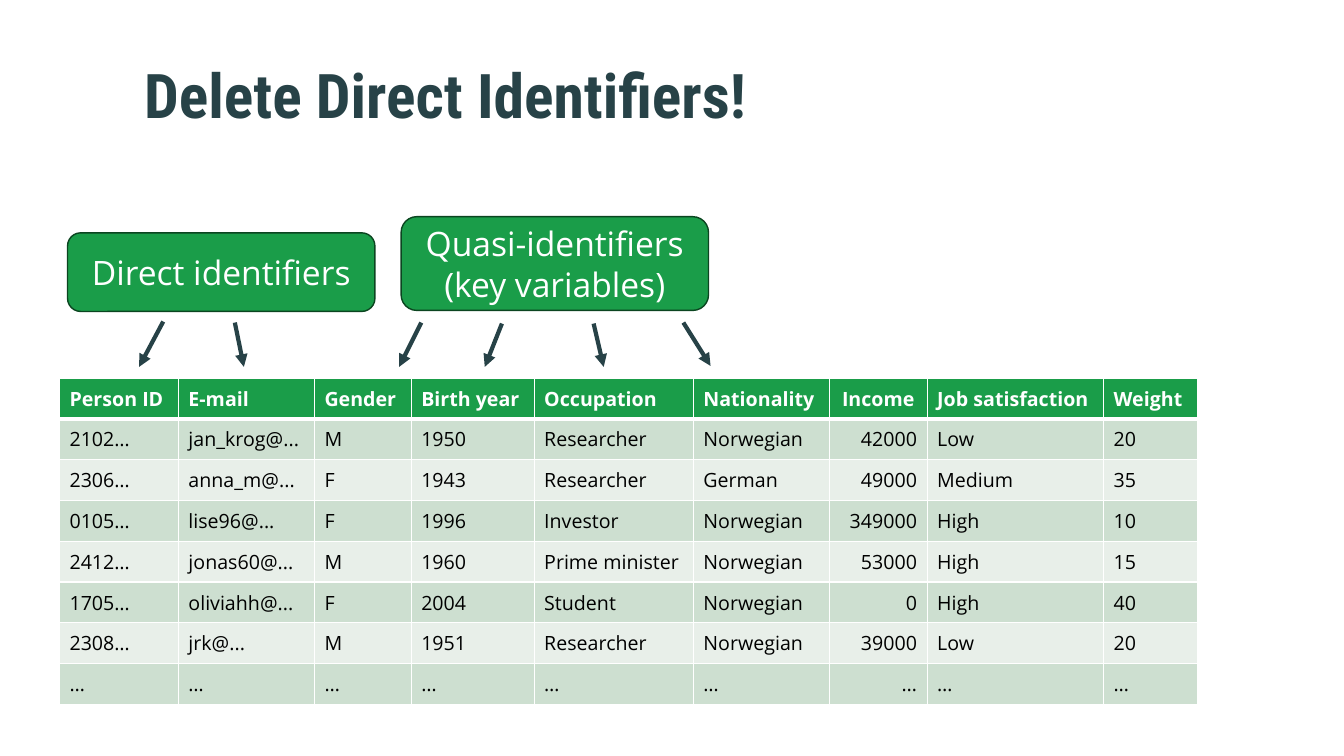
from dataclasses import dataclass

from lxml import etree
from pptx import Presentation
from pptx.dml.color import RGBColor
from pptx.enum import shapes, text
from pptx.oxml import ns
from pptx.slide import Slide
from pptx.util import Emu, Pt

PX = 4572  # 200 px to the inch

WHITE = RGBColor(0xFF, 0xFF, 0xFF)
BLACK = RGBColor(0x00, 0x00, 0x00)
GREEN = RGBColor(0x1A, 0x9D, 0x49)
DARK_GREEN = RGBColor(0x0B, 0x45, 0x20)
SLATE = RGBColor(0x27, 0x42, 0x47)
BANDS = (RGBColor(0xE8, 0xEF, 0xE9), RGBColor(0xCD, 0xDF, 0xD0))

BODY_FONT = "Open Sans"
TITLE_FONT = "Roboto Condensed"


@dataclass
class Category:
    label: str
    left: int
    top: int
    height: int
    width: int = 610


@dataclass
class Arrow:
    x1: int
    y1: int
    x2: int
    y2: int


@dataclass
class Column:
    heading: str
    width: int
    align: text.PP_ALIGN = text.PP_ALIGN.LEFT
    heading_align: text.PP_ALIGN = text.PP_ALIGN.LEFT


CATEGORIES = [
    Category("Direct identifiers", 134, 462, 156),
    Category("Quasi-identifiers\n(key variables)", 796, 430, 186),
]

ARROWS = [
    Arrow(324, 638, 276, 728),
    Arrow(466, 640, 484, 728),
    Arrow(836, 640, 792, 728),
    Arrow(996, 642, 962, 728),
    Arrow(1178, 642, 1198, 728),
    Arrow(1356, 640, 1410, 726),
]

TABLE_LEFT, TABLE_TOP, ROW_HEIGHT = 118, 750, 81
COLUMNS = [
    Column("Person ID", 236),
    Column("E-mail", 270),
    Column("Gender", 192),
    Column("Birth year", 244),
    Column("Occupation", 316),
    Column("Nationality", 270),
    Column("Income", 194, text.PP_ALIGN.RIGHT, text.PP_ALIGN.CENTER),
    Column("Job satisfaction", 350),
    Column("Weight", 186),
]
PEOPLE = [
    ("2102…", "jan_krog@...", "M", "1950", "Researcher", "Norwegian", "42000", "Low", "20"),
    ("2306…", "anna_m@...", "F", "1943", "Researcher", "German", "49000", "Medium", "35"),
    ("0105…", "lise96@...", "F", "1996", "Investor", "Norwegian", "349000", "High", "10"),
    ("2412…", "jonas60@...", "M", "1960", "Prime minister", "Norwegian", "53000", "High", "15"),
    ("1705…", "oliviahh@...", "F", "2004", "Student", "Norwegian", "0", "High", "40"),
    ("2308…", "jrk@...", "M", "1951", "Researcher", "Norwegian", "39000", "Low", "20"),
    ("…",) * len(COLUMNS),
]


def px(length: int) -> Emu:
    return Emu(length * PX)


def style_font(font, name: str, size: int, color: RGBColor, bold: bool = False) -> None:
    font.name = name
    font.size = Pt(size)
    font.bold = bold
    font.color.rgb = color


def write_title(slide: Slide, wording: str) -> None:
    title = slide.shapes.title
    title.left, title.top, title.width, title.height = map(px, (266, 120, 2112, 162))
    frame = title.text_frame
    frame.text = wording
    frame.auto_size = text.MSO_AUTO_SIZE.NONE
    frame.vertical_anchor = text.MSO_ANCHOR.MIDDLE
    frame.margin_top = 0
    heading = frame.paragraphs[0]
    heading.alignment = text.PP_ALIGN.LEFT
    heading.line_spacing = 0.9
    style_font(heading.font, TITLE_FONT, 44, SLATE, bold=True)


def draw_category(slide: Slide, category: Category) -> None:
    box = slide.shapes.add_shape(
        shapes.MSO_SHAPE.ROUNDED_RECTANGLE,
        px(category.left), px(category.top), px(category.width), px(category.height),
    )
    box.shadow.inherit = False
    box.fill.solid()
    box.fill.fore_color.rgb = GREEN
    box.line.color.rgb = DARK_GREEN
    box.line.width = Pt(1)
    frame = box.text_frame
    frame.word_wrap = True
    frame.vertical_anchor = text.MSO_ANCHOR.MIDDLE
    frame.text = category.label
    for line in frame.paragraphs:
        line.alignment = text.PP_ALIGN.CENTER
        style_font(line.font, BODY_FONT, 24, WHITE)


def draw_arrow(slide: Slide, arrow: Arrow) -> None:
    connector = slide.shapes.add_connector(
        shapes.MSO_CONNECTOR.STRAIGHT,
        px(arrow.x1), px(arrow.y1), px(arrow.x2), px(arrow.y2),
    )
    connector.line.color.rgb = SLATE
    connector.line.width = Pt(3)
    properties = connector.line._get_or_add_ln()
    etree.SubElement(properties, ns.qn("a:tailEnd"), type="triangle")
    etree.SubElement(connector._element.spPr, ns.qn("a:effectLst"))


def add_borders(cell, top: int, bottom: int) -> None:
    properties = cell._tc.get_or_add_tcPr()
    for side, points in (("L", 1), ("R", 1), ("T", top), ("B", bottom)):
        border = etree.SubElement(properties, ns.qn(f"a:ln{side}"), w=str(Pt(points)))
        fill = etree.SubElement(border, ns.qn("a:solidFill"))
        etree.SubElement(fill, ns.qn("a:srgbClr"), val=str(WHITE))


def draw_table(slide: Slide) -> None:
    rows = [tuple(column.heading for column in COLUMNS), *PEOPLE]
    total_width = sum(column.width for column in COLUMNS)
    table = slide.shapes.add_table(
        len(rows), len(COLUMNS), px(TABLE_LEFT), px(TABLE_TOP),
        px(total_width), px(ROW_HEIGHT * len(rows)),
    ).table
    table.horz_banding = False
    for index, column in enumerate(COLUMNS):
        table.columns[index].width = px(column.width)

    for r, row in enumerate(rows):
        table.rows[r].height = px(ROW_HEIGHT)
        is_header = r == 0
        for c, (column, value) in enumerate(zip(COLUMNS, row)):
            cell = table.cell(r, c)
            add_borders(cell, top=3 if r == 1 else 1, bottom=3 if is_header else 1)
            cell.fill.solid()
            cell.fill.fore_color.rgb = GREEN if is_header else BANDS[r % 2]
            cell.vertical_anchor = text.MSO_ANCHOR.MIDDLE
            cell.text = value
            entry = cell.text_frame.paragraphs[0]
            entry.alignment = column.heading_align if is_header else column.align
            style_font(entry.font, BODY_FONT, 14, WHITE if is_header else BLACK, is_header)


def main() -> None:
    deck = Presentation()
    deck.slide_width, deck.slide_height = px(2667), px(1500)
    slide = deck.slides.add_slide(deck.slide_layouts.get_by_name("Title Only"))

    # Heading
    write_title(slide, "Delete Direct Identifiers!")

    # Identifier categories, pointing at their columns
    for category in CATEGORIES:
        draw_category(slide, category)
    for arrow in ARROWS:
        draw_arrow(slide, arrow)

    # Survey records
    draw_table(slide)

    deck.save("out.pptx")


if __name__ == "__main__":
    main()
